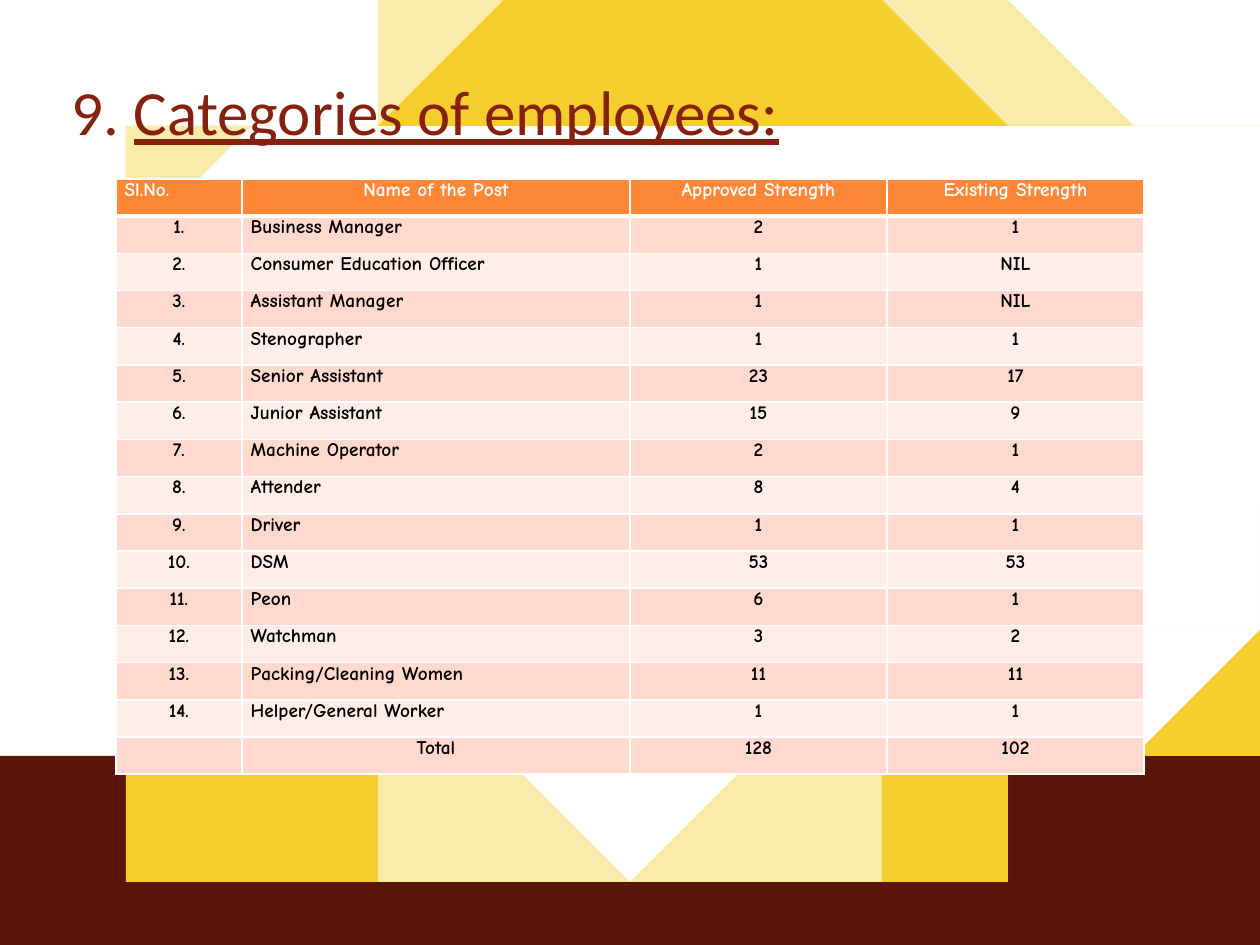
import pptx
import pptx.util
import pptx.dml.color
import pptx.enum.text
import lxml.etree
from pptx.util import Inches

RGB = pptx.dml.color.RGBColor.from_string
ALIGN = pptx.enum.text.PP_ALIGN
NS = "http://schemas.openxmlformats.org/drawingml/2006/main"

THEME = {
    "pale": "FBEBAB", "yellow": "F5CD2D", "maroon": "5A160B",
    "title": "862110", "header": "FE8637", "bands": ("FFEDE8", "FFD9CE"),
    "white": "FFFFFF", "black": "000000",
    "title_font": "Calibri", "table_font": "Comic Neue",
    "title_size": pptx.util.Pt(36), "table_size": pptx.util.Pt(11),
}

prs = pptx.Presentation()
prs.slide_width, prs.slide_height = Inches(10), Inches(7.5)
s = prs.slides.add_slide(prs.slide_layouts[6])


def add_wave(color, start, segments, steps=40):
    """Fill an outline of lines (x, y) and cubic curves (three points)."""
    pts = [start]
    for seg in segments:
        if len(seg) == 2:
            pts.append(seg)
            continue
        x0, y0 = pts[-1]
        x1, y1, x2, y2, x3, y3 = seg
        for i in range(1, steps + 1):
            t = i / steps
            a, b, c, d = (1 - t) ** 3, 3 * t * (1 - t) ** 2, 3 * t * t * (1 - t), t ** 3
            pts.append((a * x0 + b * x1 + c * x2 + d * x3,
                        a * y0 + b * y1 + c * y2 + d * y3))
    fb = s.shapes.build_freeform(*pts[0], scale=Inches(1))
    fb.add_line_segments(pts[1:], close=True)
    sp = fb.convert_to_shape()
    sp.shadow.inherit = False
    sp.fill.solid()
    sp.fill.fore_color.rgb = RGB(color)
    sp.line.fill.background()


def style_font(font, **values):
    color = values.pop("color")
    for name, value in values.items():
        setattr(font, name, value)
    font.color.rgb = RGB(color)


# Top ribbons: lower edge from right to left, then upper edge back
add_wave(THEME["pale"], (10, 1.23), [
    (9.34, 1.05), (8.72, 0.9), (8.13, 0.77), (7.56, 0.68), (7.02, 0.6), (6.52, 0.54),
    (6.04, 0.5), (5.57, 0.49), (5.14, 0.49), (4.75, 0.5), (4.36, 0.54), (4.01, 0.57),
    (3.67, 0.63), (3.36, 0.7), (3.08, 0.77), (2.81, 0.85), (2.57, 0.95), (2.14, 1.13),
    (1.78, 1.32), (1.49, 1.52), (1.28, 1.7), (1.13, 1.84), (1.02, 1.95), (0.98, 2.02),
    (1.02, 1.94), (1.12, 1.81), (1.26, 1.65), (1.47, 1.45), (1.74, 1.23), (2.08, 1),
    (2.5, 0.78), (2.75, 0.68), (3.01, 0.58), (3.3, 0.49), (3.6, 0.41), (3.93, 0.34),
    (4.28, 0.28), (4.67, 0.23), (5.07, 0.2), (5.51, 0.19), (5.96, 0.2), (6.45, 0.22),
    (6.97, 0.27), (7.51, 0.33), (8.09, 0.42), (8.69, 0.55), (9.32, 0.69), (10, 0.86)])
add_wave(THEME["yellow"], (10, 1.34), [
    (9.31, 1.17), (8.67, 1.03), (8.05, 0.91), (7.46, 0.81), (6.9, 0.74), (6.36, 0.69),
    (5.86, 0.66), (5.39, 0.63), (4.94, 0.63), (4.52, 0.66), (4.11, 0.68), (3.75, 0.73),
    (3.4, 0.77), (3.08, 0.83), (2.77, 0.9), (2.5, 0.98), (2.24, 1.07), (1.8, 1.24),
    (1.42, 1.43), (1.13, 1.6), (0.9, 1.77), (0.74, 1.91), (0.63, 2.01), (0.58, 2.08),
    (0.63, 2), (0.73, 1.89), (0.88, 1.73), (1.09, 1.55), (1.38, 1.34), (1.74, 1.12),
    (2.18, 0.91), (2.43, 0.82), (2.7, 0.73), (3, 0.64), (3.32, 0.56), (3.66, 0.49),
    (4.04, 0.45), (4.44, 0.4), (4.86, 0.38), (5.3, 0.35), (5.79, 0.36), (6.3, 0.39),
    (6.84, 0.42), (7.41, 0.49), (8, 0.57), (8.63, 0.69), (9.3, 0.83), (10, 1)])

# Bottom waves
add_wave(THEME["maroon"], (0, 6.23), [
    (0.95, 6.48, 2.47, 6.92, 4.36, 6.93), (8.52, 7, 9.61, 5.52, 10, 5),
    (10, 7.5), (0, 7.5)])
add_wave(THEME["pale"], (0, 5.53), [
    (7.76, 8.22, 9.83, 4.5, 9.83, 4.5), (9.83, 4.5, 7.96, 8.67, 0, 6.01)])
add_wave(THEME["yellow"], (0, 5.88), [
    (7.9, 8.17, 10, 5, 10, 5), (10, 5, 8.09, 8.56, 0, 6.29)])

# Title
tf = s.shapes.add_textbox(Inches(0), Inches(0.25), Inches(6.75), Inches(1.25)).text_frame
tf.word_wrap = True
tf.vertical_anchor = pptx.enum.text.MSO_ANCHOR.MIDDLE
p = tf.paragraphs[0]
p.alignment = ALIGN.CENTER
for text, underline in (("9. ", False), ("Categories of employees:", True)):
    r = p.add_run()
    r.text = text
    style_font(r.font, name=THEME["title_font"], size=THEME["title_size"],
               underline=underline, color=THEME["title"])

# Table data
posts = [
    ("Business Manager", "2", "1"),
    ("Consumer Education Officer", "1", "NIL"),
    ("Assistant Manager", "1", "NIL"),
    ("Stenographer", "1", "1"),
    ("Senior Assistant", "23", "17"),
    ("Junior Assistant", "15", "9"),
    ("Machine Operator", "2", "1"),
    ("Attender", "8", "4"),
    ("Driver", "1", "1"),
    ("DSM", "53", "53"),
    ("Peon", "6", "1"),
    ("Watchman", "3", "2"),
    ("Packing/Cleaning Women", "11", "11"),
    ("Helper/General Worker", "1", "1"),
]
rows = [("Sl.No.", "Name of the Post", "Approved Strength", "Existing Strength")]
rows += [(f"{n}.", *post) for n, post in enumerate(posts, 1)]
rows.append(("", "Total", "128", "102"))
last = len(rows) - 1

# Table
widths = (1, 3.08, 2.04, 2.04)
table = s.shapes.add_table(len(rows), len(widths), Inches(0.92), Inches(1.42),
                           Inches(sum(widths)), Inches(4.73)).table
for col, width in zip(table.columns, widths):
    col.width = Inches(width)

for i, row in enumerate(rows):
    for j, text in enumerate(row):
        cell = table.cell(i, j)
        for name, inset in {"left": 0.07, "right": 0.07, "top": 0, "bottom": 0}.items():
            setattr(cell, f"margin_{name}", Inches(inset))

        # Borders, heavier between the header and the first row
        tc_pr = cell._tc.get_or_add_tcPr()
        for side in "LRTB":
            heavy = (i, side) in ((0, "B"), (1, "T"))
            ln = lxml.etree.SubElement(tc_pr, f"{{{NS}}}ln{side}",
                                       w=str(pptx.util.Pt(3 if heavy else 1)))
            fill = lxml.etree.SubElement(ln, f"{{{NS}}}solidFill")
            lxml.etree.SubElement(fill, f"{{{NS}}}srgbClr", val=THEME["white"])
        cell.fill.solid()
        cell.fill.fore_color.rgb = RGB(THEME["bands"][i % 2] if i else THEME["header"])

        p = cell.text_frame.paragraphs[0]
        justified = (i == 0 and j == 0) or (0 < i < last and j == 1)
        p.alignment = ALIGN.JUSTIFY if justified else ALIGN.CENTER
        if text:
            r = p.add_run()
            r.text = text
            style_font(r.font, name=THEME["table_font"], size=THEME["table_size"],
                       bold=True, color=THEME["black"] if i else THEME["white"])
        else:
            lxml.etree.SubElement(p._p, f"{{{NS}}}endParaRPr", sz="1100")

prs.save("out.pptx")
